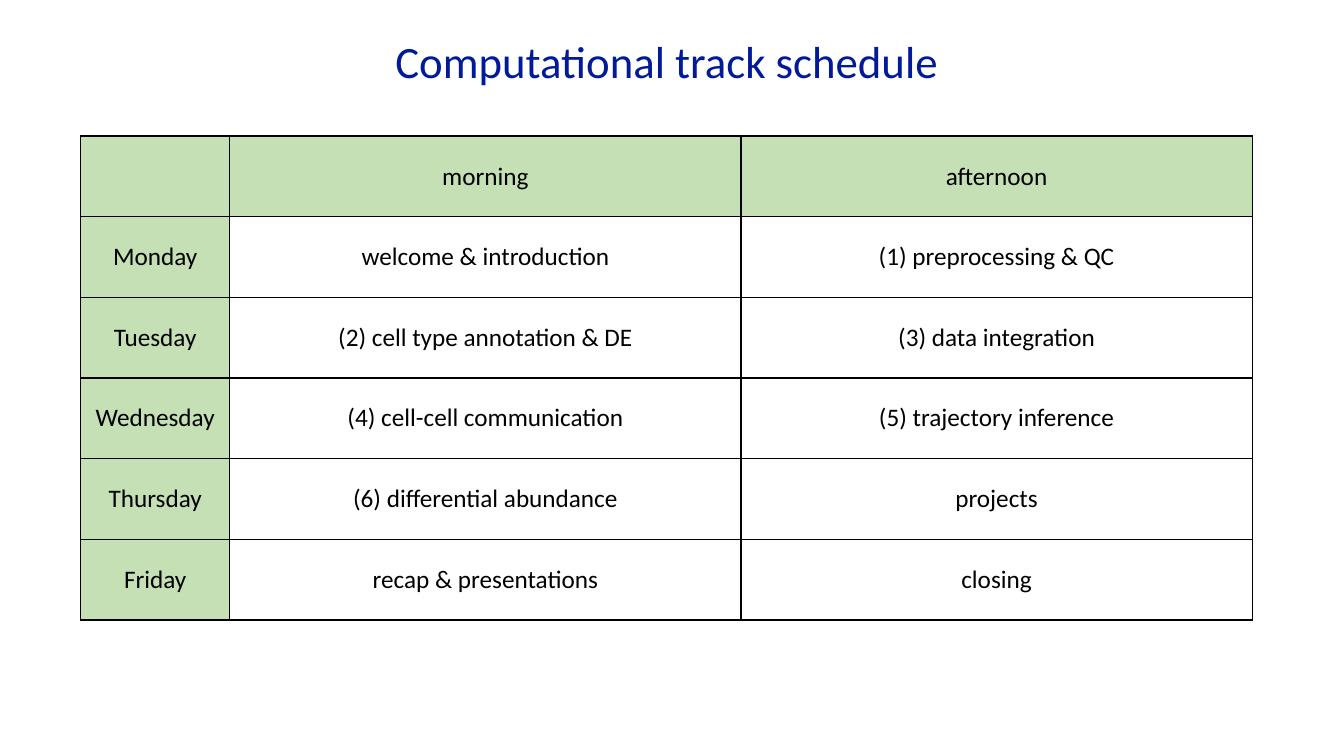
from dataclasses import dataclass

from lxml import etree
from pptx import Presentation
from pptx.dml.color import RGBColor
from pptx.enum.text import MSO_ANCHOR, PP_ALIGN
from pptx.oxml.ns import qn
from pptx.slide import Slide
from pptx.table import _Cell
from pptx.text.text import _Paragraph
from pptx.util import Inches, Pt

CENTER = PP_ALIGN.CENTER
MIDDLE = MSO_ANCHOR.MIDDLE

NAVY = RGBColor(0x01, 0x1A, 0x99)
BLACK = RGBColor(0x00, 0x00, 0x00)
GREEN = RGBColor(0xC5, 0xE0, 0xB4)
FONT = "Calibri"

SLIDE_WIDTH, SLIDE_HEIGHT = Inches(13.33), Inches(7.5)
TITLE_HEIGHT = int(SLIDE_HEIGHT * 0.16)
TABLE_LEFT = int(SLIDE_WIDTH * 0.06)
TABLE_TOP = int(SLIDE_HEIGHT * 0.18)
ROW_HEIGHT = Inches(0.8)
DAY_WIDTH, SESSION_WIDTH = Inches(1.48), Inches(5.07)
COLUMN_WIDTHS = (DAY_WIDTH, SESSION_WIDTH, SESSION_WIDTH)
BORDER_SIDES = ("a:lnL", "a:lnR", "a:lnT", "a:lnB")


@dataclass(frozen=True)
class ScheduleRow:
    day: str
    morning: str
    afternoon: str


SCHEDULE = (
    ScheduleRow("", "morning", "afternoon"),
    ScheduleRow("Monday", "welcome & introduction", "(1) preprocessing & QC"),
    ScheduleRow("Tuesday", "(2) cell type annotation & DE", "(3) data integration"),
    ScheduleRow("Wednesday", "(4) cell-cell communication", "(5) trajectory inference"),
    ScheduleRow("Thursday", "(6) differential abundance", "projects"),
    ScheduleRow("Friday", "recap & presentations", "closing"),
)


def style_paragraph(paragraph: _Paragraph, size: int, color: RGBColor) -> None:
    paragraph.alignment = CENTER
    paragraph.font.name = FONT
    paragraph.font.size = Pt(size)
    paragraph.font.color.rgb = color


def add_borders(cell: _Cell) -> None:
    """Outline a cell; border elements must precede its fill in the XML."""
    properties = cell._tc.get_or_add_tcPr()
    for position, side in enumerate(BORDER_SIDES):
        border = etree.Element(qn(side), w=str(Pt(1)))
        fill = etree.SubElement(border, qn("a:solidFill"))
        etree.SubElement(fill, qn("a:srgbClr"), val=str(BLACK))
        properties.insert(position, border)


def fill_cell(cell: _Cell, label: str, is_heading: bool) -> None:
    cell.text = label
    cell.vertical_anchor = MIDDLE
    cell.margin_left = cell.margin_right = Inches(0.03)
    cell.margin_top = cell.margin_bottom = Inches(0.02)
    style_paragraph(cell.text_frame.paragraphs[0], 18, BLACK)
    if is_heading:
        cell.fill.solid()
        cell.fill.fore_color.rgb = GREEN
    else:
        cell.fill.background()
    add_borders(cell)


def add_title(slide: Slide, title: str) -> None:
    frame = slide.shapes.add_textbox(0, 0, SLIDE_WIDTH, TITLE_HEIGHT).text_frame
    frame.word_wrap = True
    frame.vertical_anchor = MIDDLE
    frame.text = title
    style_paragraph(frame.paragraphs[0], 32, NAVY)


def add_schedule(slide: Slide) -> None:
    table = slide.shapes.add_table(
        len(SCHEDULE), len(COLUMN_WIDTHS), TABLE_LEFT, TABLE_TOP,
        sum(COLUMN_WIDTHS), ROW_HEIGHT * len(SCHEDULE),
    ).table
    table.first_row = False
    table.horz_banding = False
    for column, width in zip(table.columns, COLUMN_WIDTHS):
        column.width = width
    for row_index, row in enumerate(SCHEDULE):
        table.rows[row_index].height = ROW_HEIGHT
        for column_index, label in enumerate((row.day, row.morning, row.afternoon)):
            is_heading = row_index == 0 or column_index == 0
            fill_cell(table.cell(row_index, column_index), label, is_heading)


def main() -> None:
    presentation = Presentation()
    presentation.slide_width = SLIDE_WIDTH
    presentation.slide_height = SLIDE_HEIGHT
    slide = presentation.slides.add_slide(presentation.slide_layouts[6])
    add_title(slide, "Computational track schedule ")
    add_schedule(slide)
    presentation.save("out.pptx")


if __name__ == "__main__":
    main()
